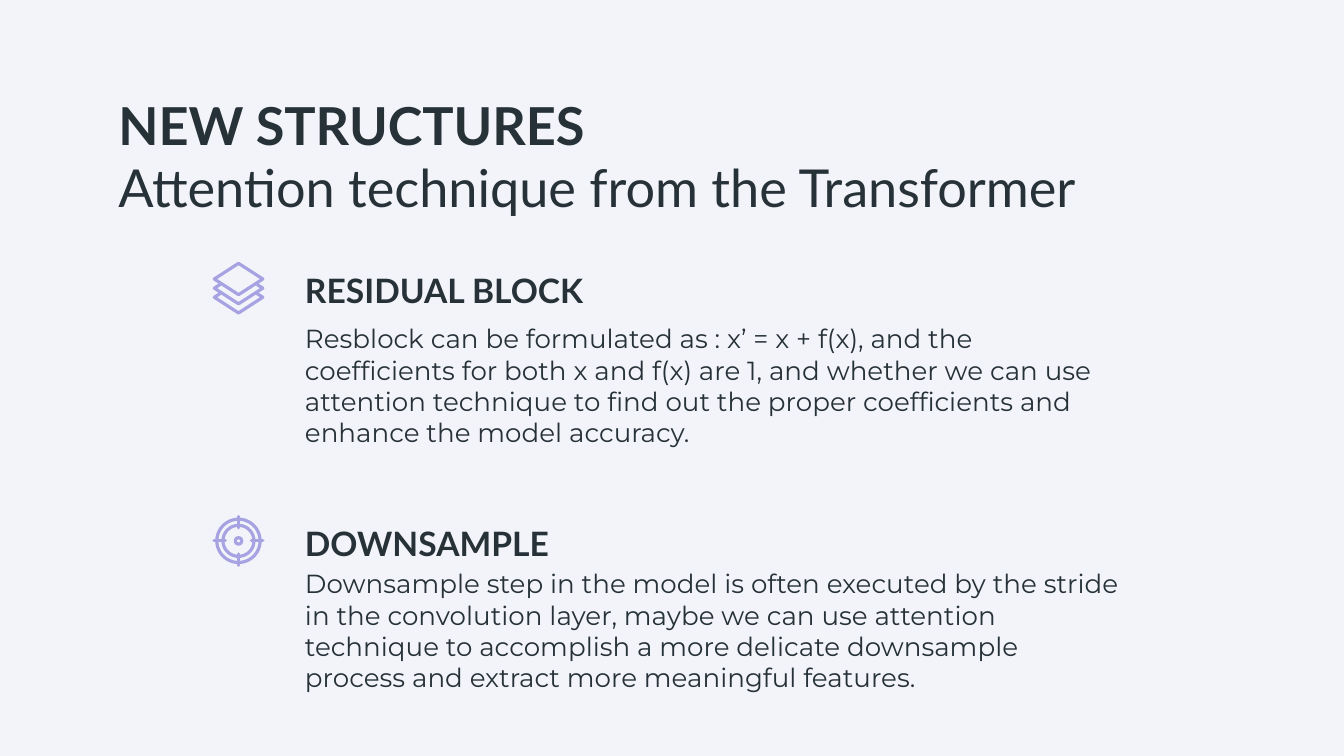
from dataclasses import dataclass
from math import cos, pi, sin

from lxml.etree import SubElement
from pptx import Presentation
from pptx.dml.color import RGBColor
from pptx.enum.text import MSO_ANCHOR, MSO_AUTO_SIZE, PP_ALIGN
from pptx.oxml.ns import qn
from pptx.util import Pt


@dataclass(frozen=True)
class Theme:
    background: RGBColor = RGBColor(0xF3, 0xF4, 0xFA)
    text: RGBColor = RGBColor(0x26, 0x32, 0x38)
    accent: RGBColor = RGBColor(0xA7, 0xA3, 0xE2)
    heading_font: str = "Lato"
    body_font: str = "Montserrat"
    title_size: int = 28
    heading_size: int = 18
    body_size: int = 14
    inset: float = 7.2
    stroke: float = 1.7


def circle(x, y, radius, steps=48):
    angles = [2 * pi * step / steps for step in range(steps)]
    return [(x + radius * cos(angle), y + radius * sin(angle)) for angle in angles]


class SlideBuilder:
    def __init__(self, slide, theme):
        self.slide = slide
        self.theme = theme
        slide.background.fill.solid()
        slide.background.fill.fore_color.rgb = theme.background

    def placeholder(self, index, box, anchor, bottom_inset=None):
        """Place a template placeholder and return its first paragraph."""
        shape = self.slide.placeholders[index]
        shape.left, shape.top, shape.width, shape.height = map(Pt, box)
        frame = shape.text_frame
        frame.word_wrap = True
        frame.auto_size = MSO_AUTO_SIZE.NONE
        frame.vertical_anchor = anchor
        frame.margin_left = frame.margin_right = frame.margin_top = Pt(self.theme.inset)
        frame.margin_bottom = Pt(bottom_inset or self.theme.inset)
        paragraph = frame.paragraphs[0]
        properties = paragraph._p.get_or_add_pPr()
        properties.set("marL", "0")
        properties.set("indent", "0")
        SubElement(properties, qn("a:buNone"))
        paragraph.alignment = PP_ALIGN.LEFT
        paragraph.space_before = Pt(0)
        return paragraph

    def style(self, paragraph, name, size, bold=None):
        font = paragraph.font
        font.name, font.size, font.bold = name, Pt(size), bold
        font.color.rgb = self.theme.text

    def title(self, box, lead, subtitle):
        paragraph = self.placeholder(0, box, MSO_ANCHOR.TOP)
        self.style(paragraph, self.theme.heading_font, self.theme.title_size)
        run = paragraph.add_run()
        run.text, run.font.bold = lead, True
        paragraph.add_line_break()
        run = paragraph.add_run()
        run.text, run.font.bold = subtitle, False

    def heading(self, index, box, text):
        paragraph = self.placeholder(index, box, MSO_ANCHOR.BOTTOM)
        paragraph.text = text
        self.style(paragraph, self.theme.heading_font, self.theme.heading_size, True)

    def body(self, index, box, text, bottom_inset=None):
        paragraph = self.placeholder(index, box, MSO_ANCHOR.BOTTOM, bottom_inset)
        paragraph.text = text
        self.style(paragraph, self.theme.body_font, self.theme.body_size, False)

    def outline(self, closed, opened=()):
        """Draw closed and open contours as one unfilled shape."""
        contours = [(points, True) for points in closed]
        contours += [(points, False) for points in opened]
        builder = None
        for points, close in contours:
            start, *rest = [(Pt(x), Pt(y)) for x, y in points]
            if builder is None:
                builder = self.slide.shapes.build_freeform(*start, scale=1.0)
            else:
                builder.move_to(*start)
            builder.add_line_segments(rest, close=close)
        shape = builder.convert_to_shape()
        shape.fill.background()
        shape.shadow.inherit = False
        shape.line.color.rgb = self.theme.accent
        shape.line.width = Pt(self.theme.stroke)
        shape.line._get_or_add_ln().set("cap", "rnd")

    def layers_icon(self, x, y):
        # Top sheet, then the visible edges of two sheets below it
        half_width, half_height, step = 13, 8.4, 4.9
        top = y - step
        sheet = [(x, top - half_height), (x + half_width, top),
                 (x, top + half_height), (x - half_width, top)]
        edges = [[(x - 10, edge - 1.9), (x - half_width, edge), (x, edge + half_height),
                  (x + half_width, edge), (x + 10, edge - 1.9)]
                 for edge in (y, y + step)]
        self.outline([sheet], edges)

    def target_icon(self, x, y):
        inner, outer = 7, 13.1
        ticks = [[(x + dx * inner, y + dy * inner), (x + dx * outer, y + dy * outer)]
                 for dx, dy in ((0, -1), (1, 0), (0, 1), (-1, 0))]
        self.outline([circle(x, y, 1.7)])
        self.outline([circle(x, y, 8.3), circle(x, y, 11.6)], ticks)


def main():
    presentation = Presentation()
    presentation.slide_width, presentation.slide_height = Pt(720), Pt(405)
    # The Comparison layout has a title and two heading and body pairs
    slide = presentation.slides.add_slide(presentation.slide_layouts[4])
    builder = SlideBuilder(slide, Theme())

    builder.title((56.2, 42.5, 607.7, 37.4), "NEW STRUCTURES",
                  "Attention technique from the Transformer")

    # Sections: heading, body top, body height, bottom inset, body text, icon
    sections = (
        ("RESIDUAL BLOCK", 149, 115.2, 24.1,
         "Resblock can be formulated as : x’ = x + f(x), and the coefficients for both "
         "x and f(x) are 1, and whether we can use attention technique to find out the "
         "proper coefficients and enhance the model accuracy.", builder.layers_icon),
        ("DOWNSAMPLE", 284.2, 94.3, None,
         "Downsample step in the model is often executed by the stride in the "
         "convolution layer, maybe we can use attention technique to accomplish a more "
         "delicate downsample process and extract more meaningful features.",
         builder.target_icon),
    )
    text_left, first_top, section_step = 156.2, 135.4, 135.4
    for number, (heading, top, height, bottom_inset, text, icon) in enumerate(sections):
        heading_top = first_top + number * section_step
        index = 1 + 2 * number
        builder.body(index + 1, (text_left, top, 452.2, height), text, bottom_inset)
        builder.heading(index, (text_left, heading_top, 265.7, 38.2), heading)
        icon(127.8, heading_top + 19)

    presentation.save("out.pptx")


if __name__ == "__main__":
    main()
